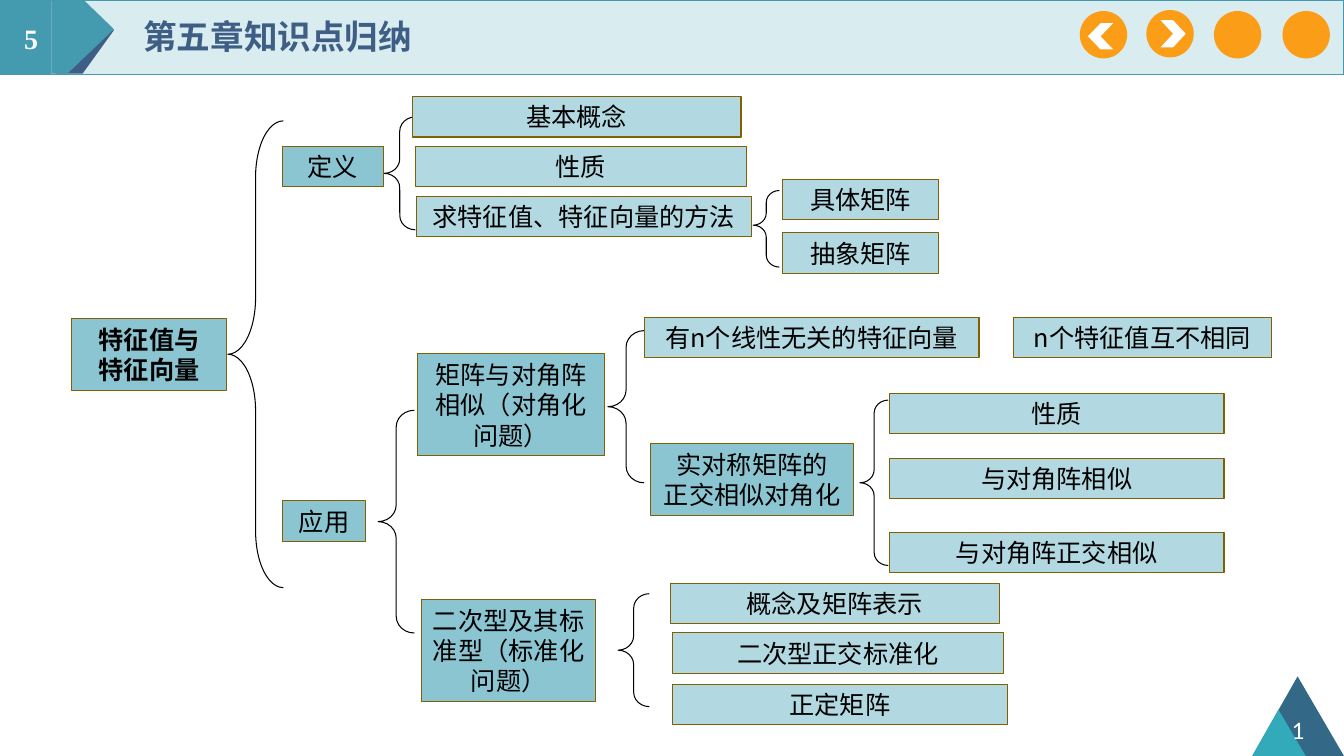
from lxml import etree
from pptx import Presentation
from pptx.dml.color import RGBColor
from pptx.enum.shapes import MSO_SHAPE
from pptx.enum.text import MSO_ANCHOR, MSO_AUTO_SIZE, PP_ALIGN
from pptx.oxml.ns import qn
from pptx.util import Inches, Pt

RECT, OVAL = MSO_SHAPE.RECTANGLE, MSO_SHAPE.OVAL
CHEVRON, BRACE = MSO_SHAPE.CHEVRON, MSO_SHAPE.LEFT_BRACE
TOP, MIDDLE = MSO_ANCHOR.TOP, MSO_ANCHOR.MIDDLE
LEFT, CENTER = PP_ALIGN.LEFT, PP_ALIGN.CENTER
CJK_FONT = "Noto Sans CJK SC"
TEAL, NAVY, ORANGE, WHITE = "449BAF", "3E5E85", "FF9500", "FFFFFF"
BRANCH, LEAF, BORDER = "8CC5D2", "B2D8E1", "806000"
ROW = 0.4

deck = Presentation()
deck.slide_width, deck.slide_height = Inches(13.33), Inches(7.5)
page = deck.slides.add_slide(deck.slide_layouts[5])


def paint(shape, fill=None, line=None, width=0.75):
    shape.shadow.inherit = False
    for part, color in ((shape.fill, fill), (shape.line.fill, line)):
        if color:
            part.solid()
            part.fore_color.rgb = RGBColor.from_string(color)
        else:
            part.background()
    if line:
        shape.line.width = Pt(width)
    return shape


def write(box, text, size=18, font=CJK_FONT, color="000000", bold=False,
          align=CENTER, anchor=MIDDLE):
    frame = box.text_frame
    frame.word_wrap = True
    frame.auto_size = MSO_AUTO_SIZE.NONE
    frame.vertical_anchor = anchor
    frame.text = text
    for para in frame.paragraphs:
        para.alignment = align
        for span in para.runs:
            span.font.size, span.font.name, span.font.bold = Pt(size), font, bold
            span.font.color.rgb = RGBColor.from_string(color)
            east_asian = etree.SubElement(span.font._element, qn("a:ea"))
            east_asian.set("typeface", CJK_FONT)


# Header band, ribbon and page corner
band = page.shapes.add_shape(RECT, 0, 0, Inches(13.33), Inches(0.74))
paint(band, "D9ECF0", TEAL, 1)
outlines = [
    (NAVY, [(0.74, 0), (1.13, 0.3), (0.82, 0.73), (0.55, 0.73), (0.55, 0)]),
    (TEAL, [(0.51, 0), (0.83, 0), (1.13, 0.29), (0.67, 0.73), (0.51, 0.73)]),
    ("336987", [(13.33, 7.5), (12.42, 7.5), (12.87, 6.71)]),
    ("33AAB9", [(12.95, 7.5), (12.42, 7.5), (12.68, 7.04)]),
]
for color, corners in outlines:
    points = [(Inches(x), Inches(y)) for x, y in corners]
    builder = page.shapes.build_freeform(*points[0])
    builder.add_line_segments(points[1:], close=True)
    paint(builder.convert_to_shape(), color)
number_block = page.shapes.add_shape(RECT, 0, 0, Inches(0.51), Inches(0.74))
paint(number_block, TEAL)

# Navigation buttons
for left, top in [(10.71, 0.11), (11.37, 0.1), (12.04, 0.11), (12.72, 0.11)]:
    button = page.shapes.add_shape(OVAL, Inches(left), Inches(top), Inches(0.47), Inches(0.47))
    paint(button, ORANGE)
    color_node = button.fill._xPr.find(qn("a:solidFill"))[0]
    etree.SubElement(color_node, qn("a:alpha")).set("val", "90000")
for left, top, height, turn in [(10.79, 0.23, 0.26, 180), (11.51, 0.2, 0.27, 0)]:
    arrow = page.shapes.add_shape(CHEVRON, Inches(left), Inches(top), Inches(0.25), Inches(height))
    paint(arrow, WHITE).rotation = turn

# Title: chapter number, then a tab to the heading
title = page.shapes.title
title.left, title.top = Inches(0.07), Inches(0.11)
title.width, title.height = Inches(13.03), Inches(0.5)
write(title, "5\t第五章知识点归纳", size=24, font="Times New Roman", color=NAVY,
      bold=True, align=LEFT, anchor=TOP)
title.text_frame.margin_left = Inches(0.17)
heading = title.text_frame.paragraphs[0]
tabs = etree.SubElement(heading._p.get_or_add_pPr(), qn("a:tabLst"))
etree.SubElement(tabs, qn("a:tab"), pos=str(Inches(1.18)), algn="l")
heading.runs[0].text = "\t第五章知识点归纳"
chapter = heading.add_run()
chapter.text = "5"
chapter.font.size, chapter.font.name, chapter.font.bold = Pt(20), "Times New Roman", True
chapter.font.color.rgb = RGBColor.from_string(WHITE)
heading.runs[0]._r.addprevious(chapter._r)
title.element.getparent().append(title.element)

page_number = page.shapes.add_textbox(Inches(12.56), Inches(7.04), Inches(0.63), Inches(0.4))
write(page_number, "1", font="Calibri", color=WHITE)

# Braces: left, top, width, height, curl, tip
braces = [
    (2.26, 1.2, 0.55, 4.63, 1.017, 0.5),
    (3.81, 1.16, 0.31, 1.12, 0.461, 0.5),
    (7.47, 1.89, 0.26, 0.76, 0.461, 0.453),
    (3.75, 4.07, 0.36, 2.21, 0.461, 0.5),
    (6.03, 3.28, 0.36, 1.51, 0.461, 0.5),
    (8.53, 3.97, 0.28, 1.64, 0.461, 0.5),
    (6.13, 5.89, 0.31, 1.12, 0.461, 0.5),
]
for *place, curl, tip in braces:
    brace = page.shapes.add_shape(BRACE, *map(Inches, place))
    brace.adjustments[0], brace.adjustments[1] = curl, tip
    paint(brace, line="000000")

# Topics: text, left, top, width, height, fill
topics = [
    ("特征值与\n特征向量", 0.71, 3.16, 1.54, 0.71, BRANCH),
    ("定义", 2.8, 1.45, 1, ROW, BRANCH),
    ("基本概念", 4.09, 0.96, 3.26, ROW, LEAF),
    ("性质", 4.12, 1.45, 3.28, ROW, LEAF),
    ("求特征值、特征向量的方法", 4.13, 1.95, 3.32, ROW, LEAF),
    ("具体矩阵", 7.76, 1.78, 1.55, ROW, LEAF),
    ("抽象矩阵", 7.76, 2.31, 1.55, ROW, LEAF),
    ("应用", 2.8, 4.97, 0.83, ROW, BRANCH),
    ("矩阵与对角阵相似（对角化问题）", 4.14, 3.51, 1.86, 1.01, BRANCH),
    ("有n个线性无关的特征向量", 6.39, 3.15, 3.32, ROW, LEAF),
    ("n个特征值互不相同", 10.05, 3.15, 2.56, ROW, LEAF),
    ("实对称矩阵的\n正交相似对角化", 6.45, 4.4, 2.02, 0.71, BRANCH),
    ("性质", 8.82, 3.9, 3.32, ROW, LEAF),
    ("与对角阵相似", 8.82, 4.55, 3.32, ROW, LEAF),
    ("与对角阵正交相似", 8.82, 5.28, 3.32, ROW, LEAF),
    ("二次型及其标准型（标准化问题）", 4.18, 5.95, 1.73, 1.01, BRANCH),
    ("概念及矩阵表示", 6.65, 5.79, 3.26, ROW, LEAF),
    ("二次型正交标准化", 6.67, 6.28, 3.28, ROW, LEAF),
    ("正定矩阵", 6.67, 6.79, 3.32, ROW, LEAF),
]
for position, (text, *place, fill) in enumerate(topics):
    box = page.shapes.add_shape(RECT, *map(Inches, place))
    paint(box, fill, BORDER)
    write(box, text, bold=position == 0)

deck.save("out.pptx")
